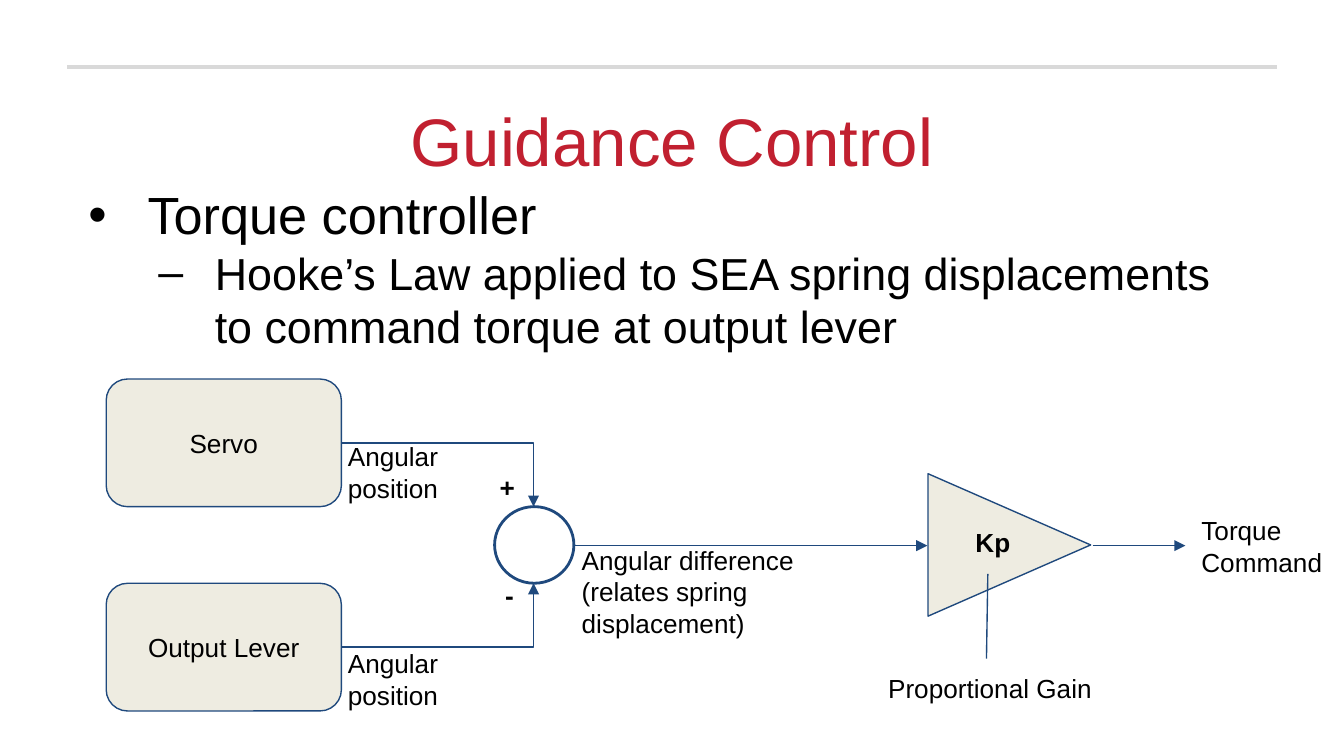
from lxml import etree
from pptx import Presentation
from pptx import util as u
from pptx.dml.color import RGBColor
from pptx.enum import shapes, text
from pptx.oxml.ns import qn

INK, NAVY, SAND, RED, GREY = "000000", "1F497D", "EEECE1", "C12030", "D9D9D9"


def color(code):
    return RGBColor.from_string(code)


def sub(node, tag, **attrs):
    return etree.SubElement(node, qn(tag), **attrs)


class Deck:
    base = {"name": "Arial", "size": u.Pt(14), "bold": False}
    kinds = shapes.MSO_SHAPE

    def __init__(self, wide, high):
        self.show = Presentation()
        self.show.slide_width = u.Inches(wide)
        self.show.slide_height = u.Inches(high)
        self.slide = self.show.slides.add_slide(self.show.slide_layouts[6])

    def style(self, para, tint=INK, **form):
        for key, val in {**self.base, **form}.items():
            setattr(para.font, key, val)
        para.font.color.rgb = color(tint)

    def frame(self, shape, pad, anchor=text.MSO_ANCHOR.TOP):
        frame = shape.text_frame
        form = {"word_wrap": True, "vertical_anchor": anchor,
                "margin_left": u.Inches(0.1), "margin_right": u.Inches(0.1),
                "margin_top": u.Inches(pad), "margin_bottom": u.Inches(pad)}
        for key, val in form.items():
            setattr(frame, key, val)
        return frame

    def box(self, spot, pad=0.1):
        shape = self.slide.shapes.add_textbox(*map(u.Inches, spot))
        return self.frame(shape, pad)

    def label(self, words, spot, pad=0.1, align=text.PP_ALIGN.LEFT, **form):
        para = self.box(spot, pad).paragraphs[0]
        para.text, para.alignment = words, align
        self.style(para, **form)

    def list(self, spot, rows):
        frame = self.box(spot, 0.05)
        for i, (words, mark, left, hang, size) in enumerate(rows):
            para = frame.add_paragraph() if i else frame.paragraphs[0]
            para.text, para.level = words, i
            props = para._p.get_or_add_pPr()
            props.set("marL", str(u.Inches(left)))
            props.set("indent", str(-u.Inches(hang)))
            sub(sub(props, "a:buClr"), "a:srgbClr", val=INK)
            sub(props, "a:buFont", typeface="Arial")
            sub(props, "a:buChar", char=mark)
            self.style(para, size=u.Pt(size))

    def shape(self, kind, spot, fill=SAND, width=0.75, turn=0, words=""):
        shape = self.slide.shapes.add_shape(kind, *map(u.Inches, spot))
        shape.shadow.inherit = False
        shape.rotation = turn
        if fill:
            shape.fill.solid()
            shape.fill.fore_color.rgb = color(fill)
        else:
            shape.fill.background()
        shape.line.color.rgb = color(NAVY)
        shape.line.width = u.Pt(width)
        if words:
            para = self.frame(shape, 0.1, text.MSO_ANCHOR.MIDDLE).paragraphs[0]
            para.text, para.alignment = words, text.PP_ALIGN.CENTER
            self.style(para)

    def line(self, start, end, tint=NAVY, width=0.75, head=True, bent=False):
        kind = shapes.MSO_CONNECTOR.ELBOW if bent else shapes.MSO_CONNECTOR.STRAIGHT
        line = self.slide.shapes.add_connector(kind, *map(u.Inches, start + end))
        line.line.color.rgb = color(tint)
        line.line.width = u.Pt(width)
        props = line._element.spPr
        if bent:
            props.find(qn("a:prstGeom")).set("prst", "bentConnector2")
        if head:
            sub(line.line._get_or_add_ln(), "a:tailEnd", type="triangle")
        sub(props, "a:effectLst")


def main():
    deck = Deck(10, 10 * 9 / 16)
    deck.line((0.5, 0.5), (9.5, 0.5), GREY, 2, head=False)
    deck.list((0.5, 1.31, 8.85, 3.71), [
        ("Torque controller", "•", 0.5, 0.44, 28),
        ("Hooke’s Law applied to SEA spring displacements to command torque "
         "at output lever", "–", 1, 0.42, 24)])
    deck.label("Guidance Control", (0.5, 0.69, 9, 0.62), 0.05,
               text.PP_ALIGN.CENTER, size=u.Pt(36), tint=RED)

    left, wide, high = 0.79, 1.75, 0.95
    hub, mid = 3.97, 4.06
    for words, top, port, note in (("Servo", 2.82, 3.77, 3.18),
                                   ("Output Lever", 4.34, 4.34, 4.72)):
        deck.shape(deck.kinds.ROUNDED_RECTANGLE, (left, top, wide, high), words=words)
        deck.line((left + wide, top + high / 2), (hub, port), bent=True)
        deck.label("Angular position", (2.49, note, 1.33, 0.27))

    deck.shape(deck.kinds.OVAL, (3.68, 3.77, 0.59, 0.57), fill=None, width=1.5)
    deck.shape(deck.kinds.ISOSCELES_TRIANGLE, (6.98, 3.45, 1.06, 1.21), turn=90)
    deck.line((4.27, mid), (6.9, mid))
    deck.line((8.13, mid), (8.82, mid))
    deck.line((7.35, 4.27), (7.34, 4.9), head=False)

    for words, spot, bold in (
            ("Proportional Gain", (6.51, 4.9, 1.83, 0.49), False),
            ("Kp", (7.16, 3.82, 1.83, 0.49), True),
            ("+", (3.62, 3.41, 1.33, 0.27), True),
            ("-", (3.66, 4.21, 1.33, 0.27), True),
            ("Angular difference (relates spring displacement)",
             (4.23, 3.95, 1.83, 0.9), False),
            ("Torque Command", (8.84, 3.73, 1.49, 0.49), False)):
        deck.label(words, spot, bold=bold)
    deck.show.save("out.pptx")


if __name__ == "__main__":
    main()
